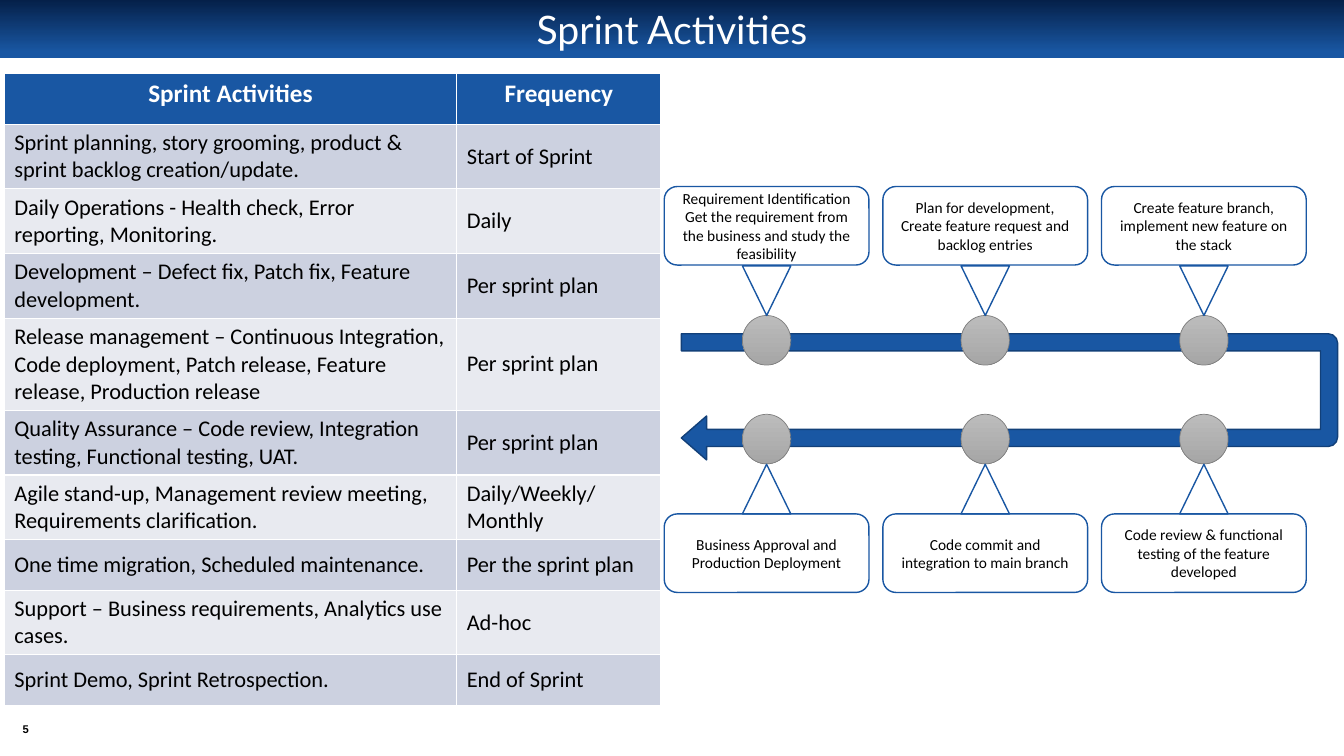
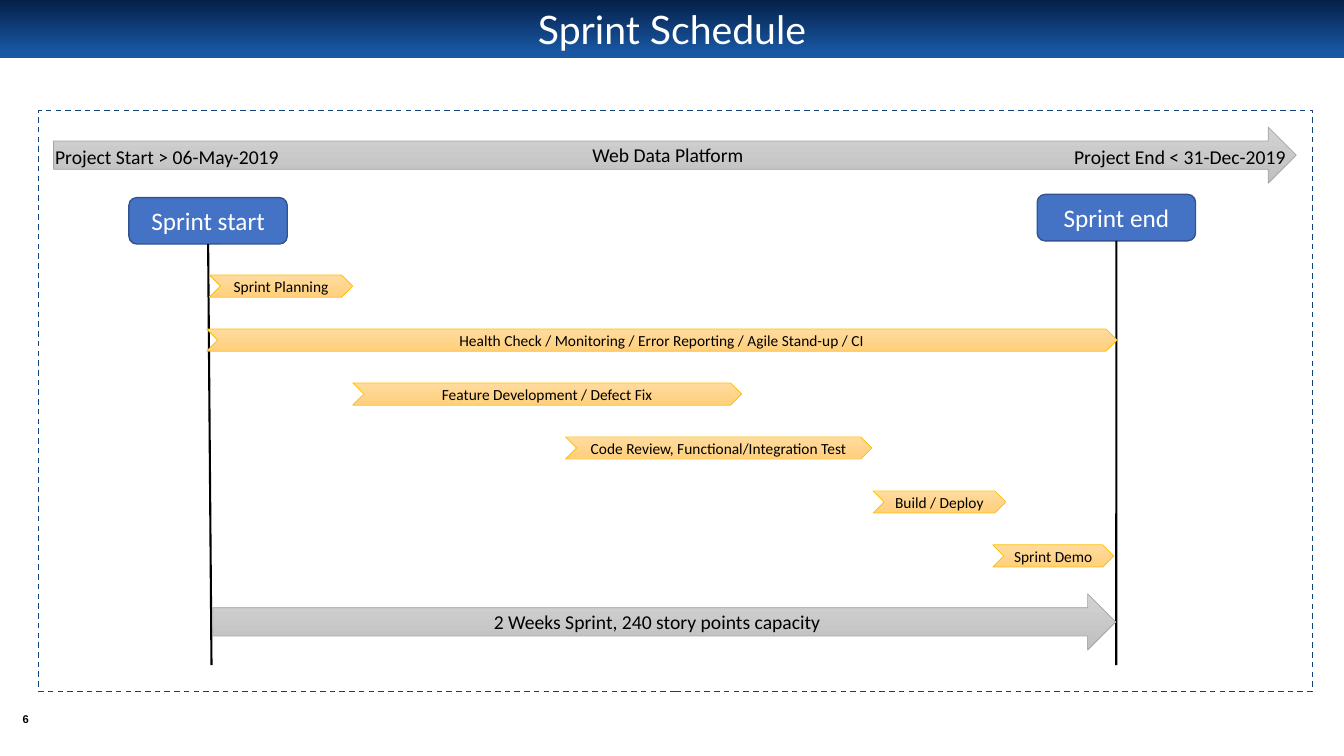
from lxml.etree import SubElement
from pptx import Presentation
from pptx.dml.color import RGBColor
from pptx.enum.dml import MSO_LINE
from pptx.enum.shapes import MSO_CONNECTOR, MSO_SHAPE
from pptx.enum.text import MSO_ANCHOR, PP_ALIGN
from pptx.oxml.ns import qn
from pptx.util import Cm, Pt

NAVY = RGBColor(0x05, 0x20, 0x49)
BLUE = RGBColor(0x19, 0x57, 0xA3)
DARK_BLUE = RGBColor(0x12, 0x40, 0x79)
BUTTON_BLUE = RGBColor(0x44, 0x72, 0xC4)
BUTTON_EDGE = RGBColor(0x32, 0x54, 0x91)
BLACK = RGBColor(0x00, 0x00, 0x00)
WHITE = RGBColor(0xFF, 0xFF, 0xFF)
BAND_DARK = RGBColor(0xCC, 0xD1, 0xE0)
BAND_LIGHT = RGBColor(0xE8, 0xEA, 0xF0)
DOT_EDGE = RGBColor(0x7F, 0x7F, 0x7F)
ARROW_EDGE = RGBColor(0xA5, 0xA5, 0xA5)
GOLD_EDGE = RGBColor(0xFF, 0xC0, 0x00)
# Vertical gradients, top to bottom
DOT_GREY = (RGBColor(0xBC, 0xBC, 0xBC), RGBColor(0xA6, 0xA6, 0xA6))
ARROW_GREY = (RGBColor(0xD2, 0xD2, 0xD2), RGBColor(0xC0, 0xC0, 0xC0))
GOLD = (RGBColor(0xFF, 0xDB, 0x9E), RGBColor(0xFF, 0xD0, 0x7C))


def write(frame, lines, size, color=BLACK, bold=False, font="Calibri",
          align=PP_ALIGN.CENTER):
    """Fill a text frame, one paragraph per line."""
    frame.word_wrap = True
    frame.vertical_anchor = MSO_ANCHOR.MIDDLE
    for index, line in enumerate(lines):
        para = frame.add_paragraph() if index else frame.paragraphs[0]
        para.alignment = align
        span = para.add_run()
        span.text = line
        span.font.name = font
        span.font.size = Pt(size)
        span.font.bold = bold
        span.font.color.rgb = color


def draw(page, kind, left, top, width, height, fill=None, edge=None, weight=1):
    """Add a preset shape, in cm; a pair of colours makes a gradient."""
    shape = page.shapes.add_shape(kind, Cm(left), Cm(top), Cm(width), Cm(height))
    shape.shadow.inherit = False
    if fill is None:
        shape.fill.background()
    elif isinstance(fill, RGBColor):
        shape.fill.solid()
        shape.fill.fore_color.rgb = fill
    else:
        shape.fill.gradient()
        shape.fill.gradient_angle = 270
        for stop, color in zip(shape.fill.gradient_stops, fill):
            stop.color.rgb = color
    if edge is None:
        shape.line.fill.background()
    else:
        shape.line.color.rgb = edge
        shape.line.width = Pt(weight)
    return shape


deck = Presentation()
deck.slide_width, deck.slide_height = Cm(33.87), Cm(19.05)

# Shared title band and page number
pages = []
for title, number, number_top in (("Sprint Activities", "5", 18.14),
                                  ("Sprint Schedule", "6", 17.88)):
    page = deck.slides.add_slide(deck.slide_layouts[6])
    band = draw(page, MSO_SHAPE.RECTANGLE, 0, 0, 33.87, 1.47, (NAVY, BLUE))
    band.fill.gradient_stops[1].position = 0.9
    write(band.text_frame, [title], 28, WHITE, font="Lato")
    box = page.shapes.add_textbox(Cm(0.33), Cm(number_top), Cm(0.64), Cm(0.48))
    frame = box.text_frame
    frame.margin_left = frame.margin_right = frame.margin_top = frame.margin_bottom = 0
    write(frame, [number], 8, bold=True, font="Arial")
    pages.append(page)
activities, schedule = pages

# Activity table: activity, frequency, row height
rows = [
    ("Sprint Activities", "Frequency", 1.27),
    ("Sprint planning, story grooming, product & sprint backlog creation/update.",
     "Start of Sprint", 1.63),
    ("Daily Operations - Health check, Error reporting, Monitoring.", "Daily", 1.63),
    ("Development – Defect fix, Patch fix, Feature development.",
     "Per sprint plan", 1.63),
    ("Release management – Continuous Integration, Code deployment, Patch release, "
     "Feature release, Production release", "Per sprint plan", 2.32),
    ("Quality Assurance – Code review, Integration testing, Functional testing, UAT.",
     "Per sprint plan", 1.63),
    ("Agile stand-up, Management review meeting, Requirements clarification.",
     "Daily/Weekly/Monthly", 1.63),
    ("One time migration, Scheduled maintenance.", "Per the sprint plan", 1.27),
    ("Support – Business requirements, Analytics use cases.", "Ad-hoc", 1.63),
    ("Sprint Demo, Sprint Retrospection.", "End of Sprint", 1.27),
]
table = activities.shapes.add_table(len(rows), 2, Cm(0.11), Cm(1.86), Cm(16.55),
                                    Cm(sum(row[2] for row in rows))).table
table.columns[0].width, table.columns[1].width = Cm(11.4), Cm(5.15)
for row_index, (*texts, height) in enumerate(rows):
    table.rows[row_index].height = Cm(height)
    for column_index, text in enumerate(texts):
        cell = table.cell(row_index, column_index)
        cell.fill.solid()
        if row_index == 0:
            cell.fill.fore_color.rgb = BLUE
            write(cell.text_frame, [text], 18, WHITE, bold=True)
            cell.vertical_anchor = MSO_ANCHOR.TOP
        else:
            cell.fill.fore_color.rgb = BAND_DARK if row_index % 2 else BAND_LIGHT
            write(cell.text_frame, [text], 16, align=PP_ALIGN.LEFT)
            cell.vertical_anchor = MSO_ANCHOR.MIDDLE

# Feature flow: a U-turn arrow with three steps on each arm
turn = draw(activities, MSO_SHAPE.U_TURN_ARROW, 23.85, 1.73, 3.18, 16.54,
            BLUE, DARK_BLUE)
turn.rotation = 90
for index, value in enumerate((0.136, 0.174, 0.2, 0.076, 1)):
    turn.adjustments[index] = value

upper_steps = [
    ["Requirement Identification",
     "Get the requirement from the business and study the feasibility"],
    ["Plan for development, Create feature request and backlog entries"],
    ["Create feature branch, implement new feature on the stack"],
]
lower_steps = [
    ["Business Approval and Production Deployment"],
    ["Code commit and integration to main branch"],
    ["Code review & functional testing of the feature developed"],
]
for steps, box_top, pointer_top, dot_top, turned in (
        (upper_steps, 4.7, 6.7, 7.95, 180), (lower_steps, 12.95, 11.7, 10.44, 0)):
    for index, lines in enumerate(steps):
        left = 16.74 + index * 5.51
        middle = left + 1.97
        draw(activities, MSO_SHAPE.OVAL, middle, dot_top, 1.22, 1.25,
             DOT_GREY, DOT_EDGE, 0.5)
        box = draw(activities, MSO_SHAPE.ROUNDED_RECTANGLE, left, box_top, 5.16, 1.98,
                   WHITE, BLUE)
        write(box.text_frame, lines, 11)
        pointer = draw(activities, MSO_SHAPE.ISOSCELES_TRIANGLE, middle, pointer_top,
                       1.22, 1.25, WHITE, BLUE)
        pointer.rotation = turned

# Sprint start and end markers, each with its line down
for text, left, top, line_end in (("Sprint start", 3.25, 4.98, 5.33),
                                  ("Sprint end", 26.14, 4.9, 28.13)):
    marker = draw(schedule, MSO_SHAPE.ROUNDED_RECTANGLE, left, top, 3.99, 1.17,
                  BUTTON_BLUE, BUTTON_EDGE)
    write(marker.text_frame, [text], 18, WHITE)
    line = schedule.shapes.add_connector(MSO_CONNECTOR.STRAIGHT, Cm(left), Cm(top),
                                         Cm(line_end), Cm(16.76))
    line.begin_connect(marker, 2)
    line.line.color.rgb = BLACK
    line.line.width = Pt(1.5)
    SubElement(line._element.spPr, qn("a:effectLst"))

# Activities in the sprint, one step lower each
for index, (text, left, width) in enumerate((
        ("Sprint Planning", 5.28, 3.61),
        ("Health Check / Monitoring / Error Reporting / Agile Stand-up / CI", 5.21, 22.94),
        ("Feature Development / Defect Fix", 8.89, 9.8),
        ("Code Review, Functional/Integration Test", 14.25, 7.72),
        ("Build / Deploy", 22, 3.35),
        ("Sprint Demo", 25.02, 3.05))):
    bar = draw(schedule, MSO_SHAPE.CHEVRON, left, 6.93 + index * 1.36, width, 0.56,
               GOLD, GOLD_EDGE, 0.5)
    write(bar.text_frame, [text], 11)

# Sprint and project arrows
for text, left, top, width in (
        ("2 Weeks Sprint, 240 story points capacity", 5.36, 14.96, 22.76),
        ("Web Data Platform", 1.35, 3.2, 31.32)):
    arrow = draw(schedule, MSO_SHAPE.RIGHT_ARROW, left, top, width, 1.42,
                 ARROW_GREY, ARROW_EDGE, 0.5)
    write(arrow.text_frame, [text], 14)

# Project dates
for text, left in (("Project Start > 06-May-2019", 1.14),
                   ("Project End < 31-Dec-2019", 26.82)):
    box = schedule.shapes.add_textbox(Cm(left), Cm(3.53), Cm(6.27), Cm(0.86))
    write(box.text_frame, [text], 14, align=PP_ALIGN.LEFT)

# Dashed frame
border = draw(schedule, MSO_SHAPE.RECTANGLE, 0.97, 2.79, 32.11, 14.63, edge=DARK_BLUE)
border.line.dash_style = MSO_LINE.DASH

deck.save("out.pptx")
